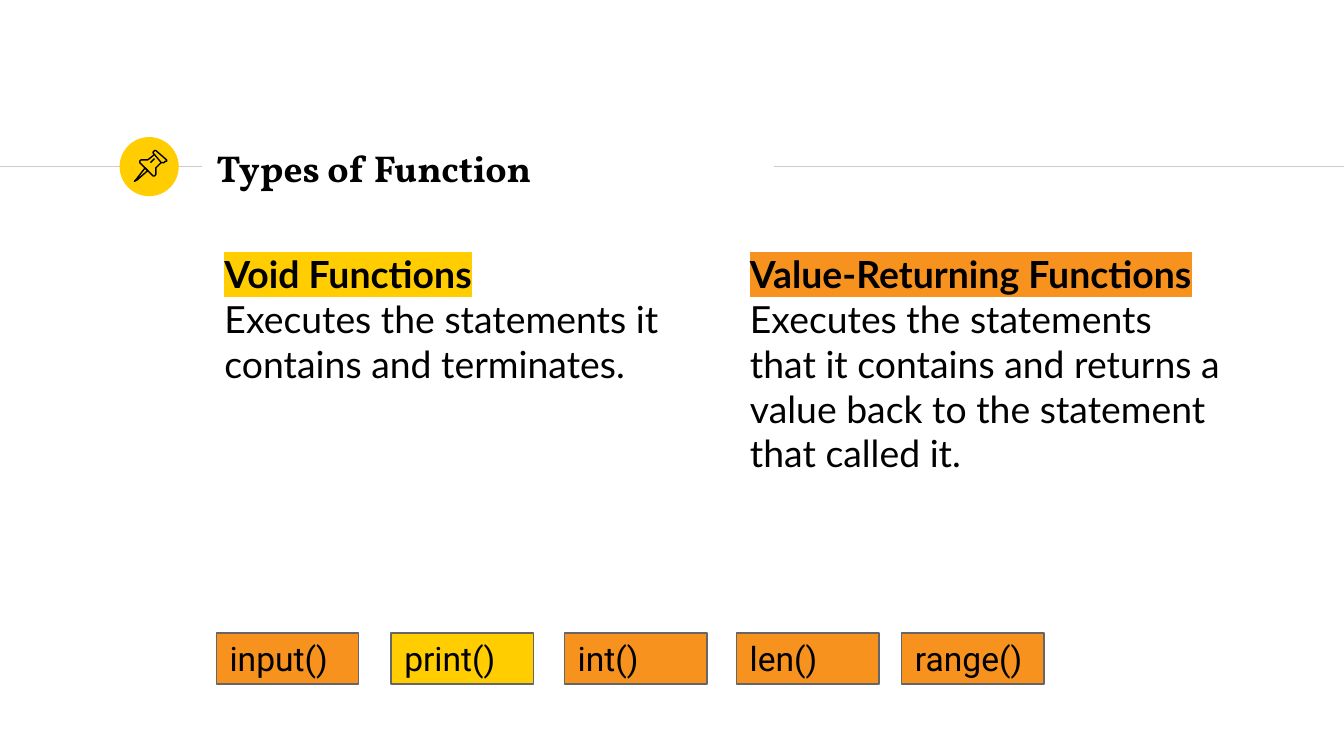
from dataclasses import dataclass

from lxml import etree
from pptx import Presentation
from pptx import util as u
from pptx.dml.color import RGBColor
from pptx.enum import shapes, text
from pptx.oxml.ns import qn


@dataclass(frozen=True)
class Theme:
    yellow: str = "FFCD00"
    orange: str = "F6921D"
    ink: str = "000000"
    rule: str = "CCCCCC"
    border: str = "666666"
    title_font: str = "Vollkorn"
    body_font: str = "Lato"
    code_font: str = "Roboto"
    text_size: int = 20
    code_size: int = 18
    line_width: float = 0.75


T = Theme()
WIDTH = 10
HEIGHT = WIDTH * 9 / 16            # widescreen
AXIS_Y = 1.24                      # height of the title rule
COLUMNS = (1.57, 5.48)             # left edges of the two text columns
CHIP_ROW, CHIP_W, CHIP_H = 4.71, 1.06, 0.38

DEFINITIONS = (
    ("Void Functions", T.yellow,
     "Executes the statements it contains and terminates."),
    ("Value-Returning Functions", T.orange,
     "Executes the statements that it contains and returns a value back "
     "to the statement that called it."),
)
CHIPS = (
    (1.61, "input()", T.orange),
    (2.91, "print()", T.yellow),
    (4.2, "int()", T.orange),
    (5.48, "len()", T.orange),
    (6.71, "range()", T.orange),
)
# Pushpin outlines in hundredths of an inch: points, closed
PIN = (
    # needle
    (((108, 125), (101, 134), (100, 135), (102, 134), (110, 127)), True),
    # cap
    (((115, 115), (120, 121), (122, 121), (123, 120), (124, 120),
      (124, 119), (116, 112), (115, 112), (114, 113), (114, 114)), True),
    # body
    (((115, 115), (110, 119), (109, 119), (107, 119), (105, 119),
      (104, 120), (104, 121), (114, 131), (115, 131), (116, 130),
      (116, 128), (116, 125), (120, 121)), False),
    # glint
    (((112, 121), (115, 118)), False),
)


def rgb(value):
    return RGBColor.from_string(value)


def place(sp, x, y, w, h):
    sp.left, sp.top, sp.width, sp.height = map(u.Inches, (x, y, w, h))


def set_frame(tf, anchor):
    tf.word_wrap = True
    tf.auto_size = text.MSO_AUTO_SIZE.NONE
    tf.vertical_anchor = anchor
    tf.margin_left = tf.margin_right = u.Inches(0.1)
    tf.margin_top = tf.margin_bottom = u.Inches(0.1)


def format_text(p, font, size, bold=False):
    p.alignment = text.PP_ALIGN.LEFT
    p.space_before = u.Pt(0)
    for r in p.runs:
        r.font.name, r.font.size, r.font.bold = font, u.Pt(size), bold
        r.font.color.rgb = rgb(T.ink)


def remove_bullet(p):
    pPr = p._p.get_or_add_pPr()
    pPr.set("marL", "0")
    pPr.set("indent", "0")
    etree.SubElement(pPr, qn("a:buNone"))


def highlight(r, color):
    mark = etree.Element(qn("a:highlight"))
    etree.SubElement(mark, qn("a:srgbClr")).set("val", color)
    r.font._element.find(qn("a:solidFill")).addnext(mark)


def add_rule(s, x1, x2):
    line = s.shapes.add_connector(
        shapes.MSO_CONNECTOR.STRAIGHT,
        *map(u.Inches, (x1, AXIS_Y, x2, AXIS_Y)))
    line.line.color.rgb = rgb(T.rule)
    line.line.width = u.Pt(T.line_width)
    etree.SubElement(line._element.spPr, qn("a:effectLst"))


def add_filled(s, kind, x, y, w, h, fill):
    sp = s.shapes.add_shape(kind, *map(u.Inches, (x, y, w, h)))
    sp.shadow.inherit = False
    sp.fill.solid()
    sp.fill.fore_color.rgb = rgb(fill)
    return sp


def add_pin(s):
    badge = add_filled(s, shapes.MSO_SHAPE.OVAL, 0.89, 1.02, 0.44, 0.44,
                       T.yellow)
    badge.line.fill.background()
    for points, closed in PIN:
        builder = s.shapes.build_freeform(*points[0], scale=u.Inches(0.01))
        builder.add_line_segments(points[1:], close=closed)
        sp = builder.convert_to_shape()
        sp.shadow.inherit = False
        sp.fill.background()
        sp.line.color.rgb = rgb(T.ink)
        sp.line.width = u.Pt(T.line_width)


def fill_title(sp, words):
    place(sp, 1.51, 1.01, 4.24, 0.48)
    sp.text_frame.text = words
    set_frame(sp.text_frame, text.MSO_ANCHOR.MIDDLE)
    format_text(sp.text_frame.paragraphs[0], T.title_font, T.text_size, True)


def fill_definition(sp, x, heading, color, words):
    place(sp, x, 1.77, 3.75, 3.53)
    tf = sp.text_frame
    tf.text = f"{heading}\n{words}"
    set_frame(tf, text.MSO_ANCHOR.TOP)
    for i, p in enumerate(tf.paragraphs):
        format_text(p, T.body_font, T.text_size, bold=i == 0)
        remove_bullet(p)
    highlight(tf.paragraphs[0].runs[0], color)


def add_chip(s, x, words, color):
    sp = add_filled(s, shapes.MSO_SHAPE.RECTANGLE, x, CHIP_ROW,
                    CHIP_W, CHIP_H, color)
    sp.line.color.rgb = rgb(T.border)
    sp.line.width = u.Pt(T.line_width)
    sp.text_frame.text = words
    set_frame(sp.text_frame, text.MSO_ANCHOR.MIDDLE)
    format_text(sp.text_frame.paragraphs[0], T.code_font, T.code_size)


def main():
    prs = Presentation()
    prs.slide_width, prs.slide_height = u.Inches(WIDTH), u.Inches(HEIGHT)
    s = prs.slides.add_slide(prs.slide_layouts.get_by_name("Two Content"))
    title, *bodies = s.placeholders

    # Title band
    add_rule(s, 0, 1.5)
    add_rule(s, 5.76, WIDTH)
    add_pin(s)
    fill_title(title, "Types of Function")

    # Two definitions
    for sp, x, definition in zip(bodies, COLUMNS, DEFINITIONS):
        fill_definition(sp, x, *definition)

    # Example functions, coloured by type
    for chip in CHIPS:
        add_chip(s, *chip)

    prs.save("out.pptx")


if __name__ == "__main__":
    main()
